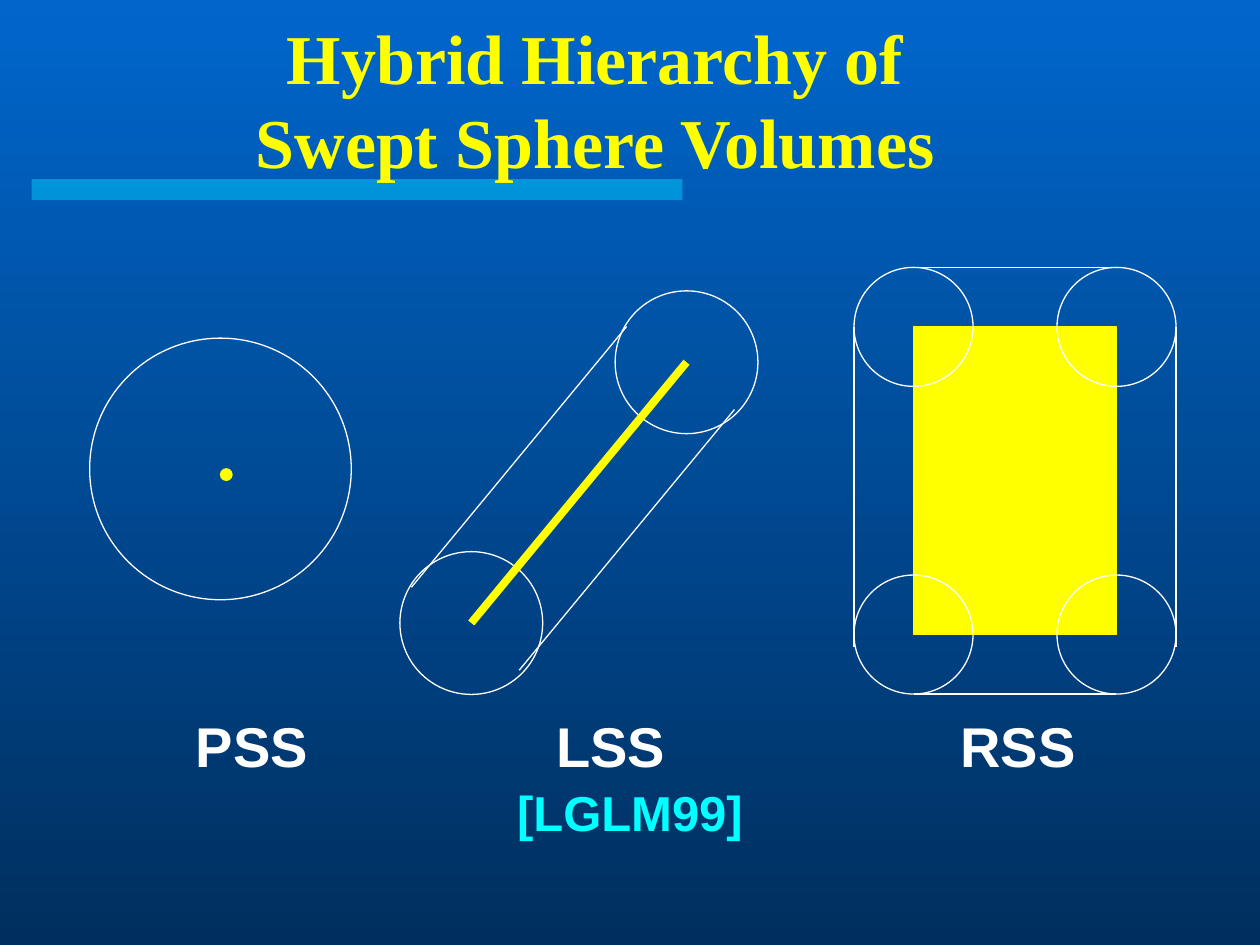
from dataclasses import dataclass
from itertools import product

from lxml import etree
from pptx import Presentation
from pptx.dml.color import RGBColor
from pptx.enum.shapes import MSO_CONNECTOR, MSO_SHAPE
from pptx.enum.text import MSO_ANCHOR, PP_ALIGN
from pptx.oxml.ns import qn
from pptx.util import Pt

STRAIGHT = MSO_CONNECTOR.STRAIGHT
OVAL, RECTANGLE = MSO_SHAPE.OVAL, MSO_SHAPE.RECTANGLE
CENTER = PP_ALIGN.CENTER
TOP, MIDDLE = MSO_ANCHOR.TOP, MSO_ANCHOR.MIDDLE


@dataclass(frozen=True)
class Theme:
    sky: str = "0066CC"
    deep: str = "002F5E"
    accent: str = "00CCFF"
    core: str = "FFFF00"
    outline: str = "FFFFFF"
    citation: str = "00FFFF"
    title_font: str = "Times New Roman"
    body_font: str = "Arial"
    title_size: float = 40
    label_size: float = 32
    citation_size: float = 28
    thin: float = 0.75
    thick: float = 4.5


@dataclass(frozen=True)
class Label:
    text: str
    center: float
    top: float
    size: float
    color: str
    width: float = 170
    height: float = 42
    font: str = "Arial"
    anchor: MSO_ANCHOR = TOP
    spacing: float | None = None


THEME = Theme()


def rgb(color: str) -> RGBColor:
    return RGBColor.from_string(color)


def add_solid(slide, kind, left: float, top: float, width: float, height: float,
              fill: str | None = None, line: str | None = None):
    shape = slide.shapes.add_shape(kind, Pt(left), Pt(top), Pt(width), Pt(height))
    shape.shadow.inherit = False
    if fill:
        shape.fill.solid()
        shape.fill.fore_color.rgb = rgb(fill)
    else:
        shape.fill.background()
    if line:
        shape.line.color.rgb = rgb(line)
        shape.line.width = Pt(THEME.thin)
    else:
        shape.line.fill.background()
    return shape


def add_circle(slide, x: float, y: float, diameter: float,
               fill: str | None = None, line: str = THEME.outline) -> None:
    radius = diameter / 2
    add_solid(slide, OVAL, x - radius, y - radius, diameter, diameter, fill, line)


def add_line(slide, start: tuple[float, float], end: tuple[float, float],
             color: str = THEME.outline, weight: float = THEME.thin) -> None:
    line = slide.shapes.add_connector(STRAIGHT, *map(Pt, start + end))
    line.line.color.rgb = rgb(color)
    line.line.width = Pt(weight)
    etree.SubElement(line._element.spPr, qn("a:effectLst"))


def add_label(slide, label: Label) -> None:
    box = slide.shapes.add_textbox(Pt(label.center - label.width / 2), Pt(label.top),
                                   Pt(label.width), Pt(label.height))
    frame = box.text_frame
    frame.word_wrap = True
    frame.vertical_anchor = label.anchor
    frame.text = label.text
    para = frame.paragraphs[0]
    para.alignment = CENTER
    if label.spacing:
        para.line_spacing = Pt(label.spacing)
    for span in para.runs:
        span.font.name = label.font
        span.font.size = Pt(label.size)
        span.font.bold = True
        span.font.color.rgb = rgb(label.color)


def draw_backdrop(slide) -> None:
    fill = slide.background.fill
    fill.gradient()
    fill.gradient_angle = 270
    for stop, position, color in zip(fill.gradient_stops, (0, 1), (THEME.sky, THEME.deep)):
        stop.position = position
        stop.color.rgb = rgb(color)
    bar = add_solid(slide, RECTANGLE, 18, 102.4, 372, 12, THEME.accent)
    color = bar.fill._xPr.find(qn("a:solidFill"))[0]
    etree.SubElement(color, qn("a:alpha"), val="50000")


def draw_point_swept(slide) -> None:
    add_circle(slide, 126, 268, 149.5)
    add_circle(slide, 129.3, 271.2, 6.6, THEME.core, THEME.core)


def draw_line_swept(slide) -> None:
    upper, lower = (392.3, 207), (269.3, 356)
    for x, y in (lower, upper):
        add_circle(slide, x, y, 81.6)
    for dx, dy in ((-34.2, -20.4), (27.4, 27)):
        add_line(slide, (upper[0] + dx, upper[1] + dy), (lower[0] + dx, lower[1] + dy))
    add_line(slide, upper, lower, THEME.core, THEME.thick)


def draw_rectangle_swept(slide) -> None:
    left, top, right, bottom, radius = 522, 186.8, 638, 362.6, 34
    add_solid(slide, RECTANGLE, left, top, right - left, bottom - top,
              THEME.core, THEME.core)
    for x, y in product((left, right), (top, bottom)):
        add_circle(slide, x, y, 2 * radius)
    for y in (top - radius, bottom + radius):
        add_line(slide, (left, y), (right, y))
    for x in (left - radius, right + radius):
        add_line(slide, (x, top), (x, bottom + 7))


def main() -> None:
    deck = Presentation()
    deck.slide_width, deck.slide_height = Pt(720), Pt(540)
    page = deck.slides.add_slide(deck.slide_layouts[6])
    draw_backdrop(page)

    # Title
    add_label(page, Label("Hybrid Hierarchy of\vSwept Sphere Volumes", 340, 23,
                          THEME.title_size, THEME.core, 638, 67,
                          THEME.title_font, MIDDLE, 48))

    # Names of the volumes and the citation
    for text, center in (("PSS", 144), ("LSS", 349), ("RSS", 581.7)):
        add_label(page, Label(text, center, 402.8, THEME.label_size, THEME.outline,
                              font=THEME.body_font))
    add_label(page, Label("[LGLM99]", 360, 443.7, THEME.citation_size, THEME.citation,
                          font=THEME.body_font))

    # Swept volumes
    draw_line_swept(page)
    draw_rectangle_swept(page)
    draw_point_swept(page)

    deck.save("out.pptx")


if __name__ == "__main__":
    main()
